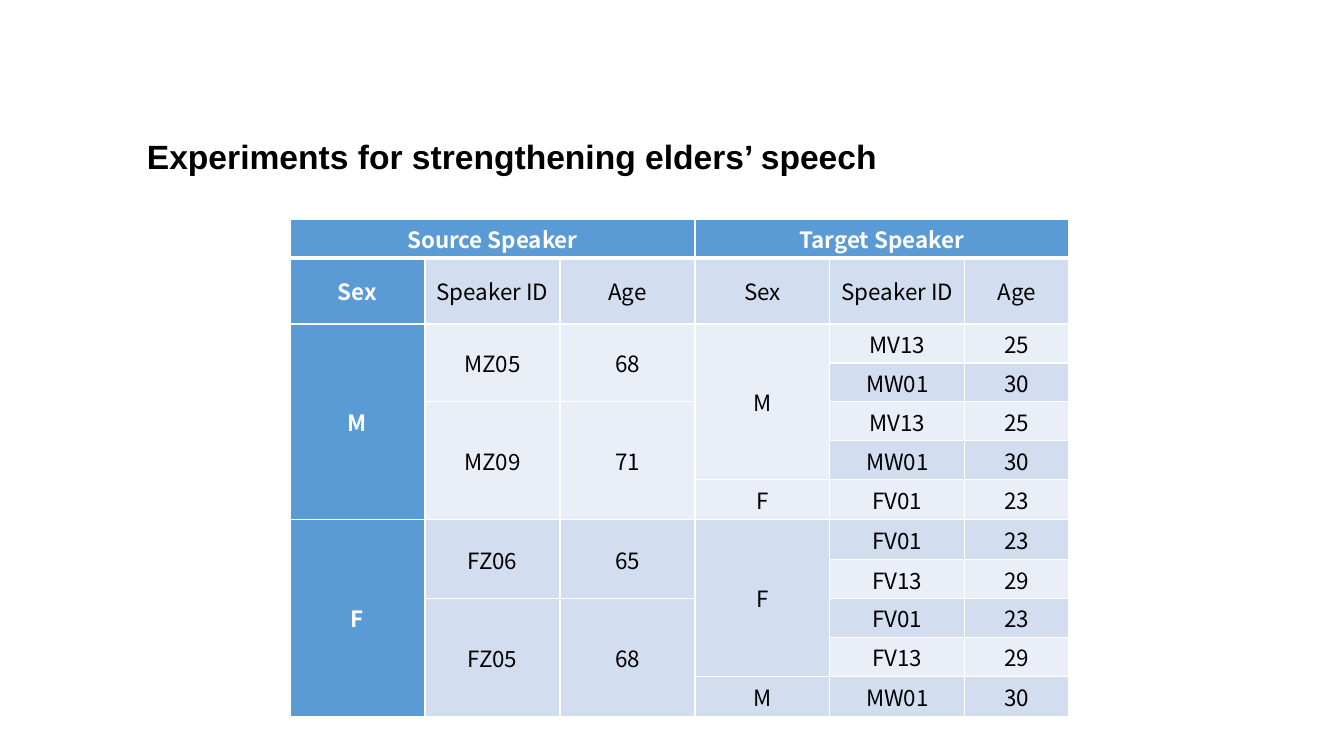
from lxml.etree import SubElement
from pptx import Presentation
from pptx.dml.color import RGBColor
from pptx.enum.text import MSO_ANCHOR, PP_ALIGN
from pptx.oxml.ns import qn
from pptx.util import Pt

PX = 914400 / 100.8
COLORS = {
    "white": "FFFFFF",
    "black": "000000",
    "header": "5B9BD5",
    "dark": "D2DEEF",
    "light": "EAEFF7",
}


def px(length):
    return round(length * PX)


def write(frame, text, size=16, font="Noto Sans CJK KR", color="black",
          bold=False, align=PP_ALIGN.CENTER):
    paragraph = frame.paragraphs[0]
    paragraph.alignment = align
    run = paragraph.add_run()
    run.text = text
    run.font.size = Pt(size)
    run.font.name = font
    run.font.bold = bold
    run.font.color.rgb = RGBColor.from_string(COLORS[color])


presentation = Presentation()
presentation.slide_width = px(1344)
presentation.slide_height = px(756)
slide = presentation.slides.add_slide(presentation.slide_layouts[6])

# Speaker table
column_widths = [135] * 5 + [104]
row_heights = [39, 66, 39, 39, 39, 39, 40, 40, 39, 39, 39, 40]
table_shape = slide.shapes.add_table(
    len(row_heights), len(column_widths), px(290), px(219),
    px(sum(column_widths)), px(sum(row_heights)))
table = table_shape.table
for column, width in zip(table.columns, column_widths):
    column.width = px(width)
for row, height in zip(table.rows, row_heights):
    row.height = px(height)

# Entries: row, column, rows spanned, columns spanned, text, fill
entries = [(0, 0, 1, 3, "Source Speaker", "header"),
           (0, 3, 1, 3, "Target Speaker", "header")]
for column, label in enumerate(["Sex", "Speaker ID", "Age"] * 2):
    entries.append((1, column, 1, 1, label, "dark" if column else "header"))

# Each group: first row, source sex, two sources, target sexes, targets
groups = [
    (2, "M", [("MZ05", "68"), ("MZ09", "71")], ["M", "F"],
     [("MV13", "25"), ("MW01", "30"), ("MV13", "25"), ("MW01", "30"),
      ("FV01", "23")]),
    (7, "F", [("FZ06", "65"), ("FZ05", "68")], ["F", "M"],
     [("FV01", "23"), ("FV13", "29"), ("FV01", "23"), ("FV13", "29"),
      ("MW01", "30")]),
]
bands = ["light", "dark"]
for top, sex, sources, target_sexes, targets in groups:
    band = bands[top % 2]
    entries.append((top, 0, 5, 1, sex, "header"))
    for source, start, span in zip(sources, (0, 2), (2, 3)):
        for column, text in enumerate(source, 1):
            entries.append((top + start, column, span, 1, text, band))
    for target_sex, start, span in zip(target_sexes, (0, 4), (4, 1)):
        entries.append((top + start, 3, span, 1, target_sex, band))
    for row, target in enumerate(targets, top):
        for column, text in enumerate(target, 4):
            entries.append((row, column, 1, 1, text, bands[row % 2]))

for top, left, row_span, column_span, text, fill in entries:
    for row in range(top, top + row_span):
        for column in range(left, left + column_span):
            cell = table.cell(row, column)
            cell.margin_left = cell.margin_right = px(7)
            cell.margin_top = cell.margin_bottom = 0
            cell.vertical_anchor = MSO_ANCHOR.MIDDLE
            # White borders, thicker under the top header
            properties = cell._tc.get_or_add_tcPr()
            for side in ("L", "R", "T", "B"):
                thick = (row, side) in ((0, "B"), (1, "T"))
                line = SubElement(properties, qn(f"a:ln{side}"),
                                  w=str(Pt(3 if thick else 1)))
                solid = SubElement(line, qn("a:solidFill"))
                SubElement(solid, qn("a:srgbClr"), val=COLORS["white"])
            cell.fill.solid()
            cell.fill.fore_color.rgb = RGBColor.from_string(COLORS[fill])
    origin = table.cell(top, left)
    if row_span * column_span > 1:
        origin.merge(table.cell(top + row_span - 1, left + column_span - 1))
    is_header = fill == "header"
    write(origin.text_frame, text, bold=is_header,
          color="white" if is_header else "black")

# Title
title = slide.shapes.add_textbox(px(137), px(131), px(974), px(50))
title.text_frame.word_wrap = True
write(title.text_frame, "Experiments for strengthening elders’ speech",
      size=24, font="Arial", bold=True, align=PP_ALIGN.LEFT)

presentation.save("out.pptx")
